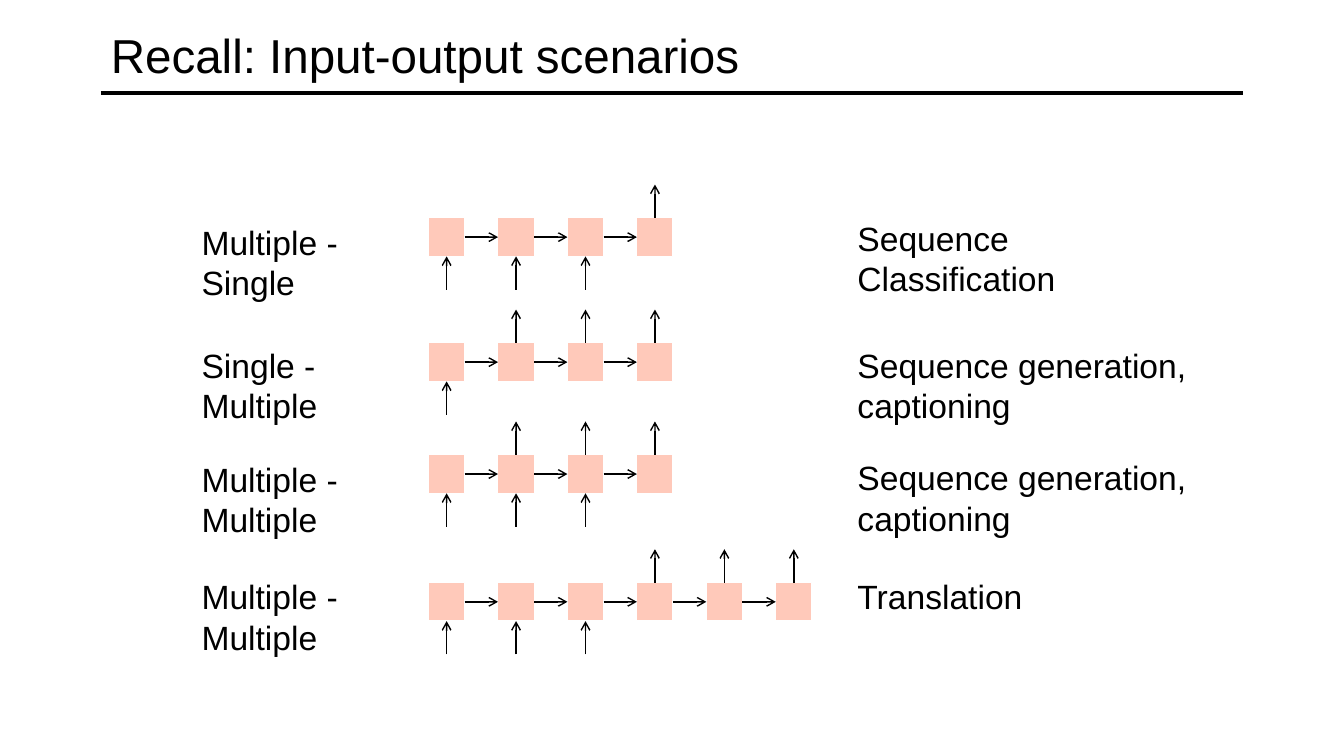
from pptx import Presentation
from pptx.dml.color import RGBColor
from pptx.enum.shapes import MSO_CONNECTOR as Link, MSO_SHAPE as Kind
from pptx.enum.text import MSO_ANCHOR as Anchor, PP_ALIGN as Align
from pptx.oxml.ns import qn
from pptx.util import Cm, Pt
from lxml.etree import SubElement

BLACK = RGBColor(0x00, 0x00, 0x00)
WHITE = RGBColor(0xFF, 0xFF, 0xFF)
PEACH = RGBColor(0xFF, 0xC9, 0xBA)

LEFT, STEP = 10.8, 1.75
WIDE, HIGH = 0.91, 0.97
REACH = STEP - WIDE

deck = Presentation()
deck.slide_width, deck.slide_height = Cm(33.87), Cm(19.05)
slide = deck.slides.add_slide(deck.slide_layouts[5])
shapes = slide.shapes


def draw_line(x1, y1, x2, y2, width=1, head=True):
    line = shapes.add_connector(Link.STRAIGHT, Cm(x1), Cm(y1), Cm(x2), Cm(y2))
    line.line.color.rgb = BLACK
    line.line.width = Pt(width)
    if head:
        SubElement(line.line._get_or_add_ln(), qn("a:tailEnd"), type="arrow")
    SubElement(line._element.spPr, qn("a:effectLst"))


def set_text(box, text, size):
    frame = box.text_frame
    frame.word_wrap = True
    frame.text = text
    frame.paragraphs[0].alignment = Align.LEFT
    font = frame.paragraphs[0].runs[0].font
    for name, value in {"name": "Arial", "size": Pt(size)}.items():
        setattr(font, name, value)
    font.color.rgb = BLACK


draw_line(2.54, 2.34, 31.32, 2.34, width=3, head=False)

title = shapes.title
place = {"left": 2.54, "top": 0.2, "width": 28.78, "height": 2.34}
for name, value in place.items():
    setattr(title, name, Cm(value))
set_text(title, "Recall: Input-output scenarios", 34)
title.text_frame.vertical_anchor = Anchor.MIDDLE

# top, cell count, cells with input, cells with output
rows = [
    (5.49, 4, [0, 1, 2], [3]),
    (8.64, 4, [0], [1, 2, 3]),
    (11.46, 4, [0, 1, 2], [1, 2, 3]),
    (14.68, 6, [0, 1, 2], [3, 4, 5]),
]
for top, count, inputs, outputs in rows:
    for i in range(count):
        x = LEFT + i * STEP
        mid = x + WIDE / 2
        cell = shapes.add_shape(Kind.RECTANGLE, Cm(x), Cm(top), Cm(WIDE), Cm(HIGH))
        cell.shadow.inherit = False
        cell.fill.solid()
        cell.fill.fore_color.rgb = PEACH
        cell.line.color.rgb = WHITE
        cell.line.width = Pt(0.75)
        if i:
            draw_line(x - REACH, top + HIGH / 2, x, top + HIGH / 2)
        if i in inputs:
            draw_line(mid, top + HIGH + REACH, mid, top + HIGH)
        if i in outputs:
            draw_line(mid, top, mid, top - REACH)

labels = [
    ("Multiple - Single", 4.83, 5.46, 5.08, 2.31),
    ("Single - Multiple", 4.83, 8.56, 5.08, 2.31),
    ("Multiple - Multiple", 4.83, 11.43, 6, 2.31),
    ("Multiple - Multiple", 4.83, 14.4, 6, 2.31),
    ("Sequence Classification", 21.36, 5.36, 8.28, 2.31),
    ("Sequence generation, captioning", 21.36, 8.56, 9.55, 2.31),
    ("Sequence generation, captioning", 21.36, 11.4, 9.12, 2.31),
    ("Translation", 21.36, 14.4, 8.28, 1.27),
]
for text, *area in labels:
    set_text(shapes.add_textbox(*map(Cm, area)), text, 24)

deck.save("out.pptx")
